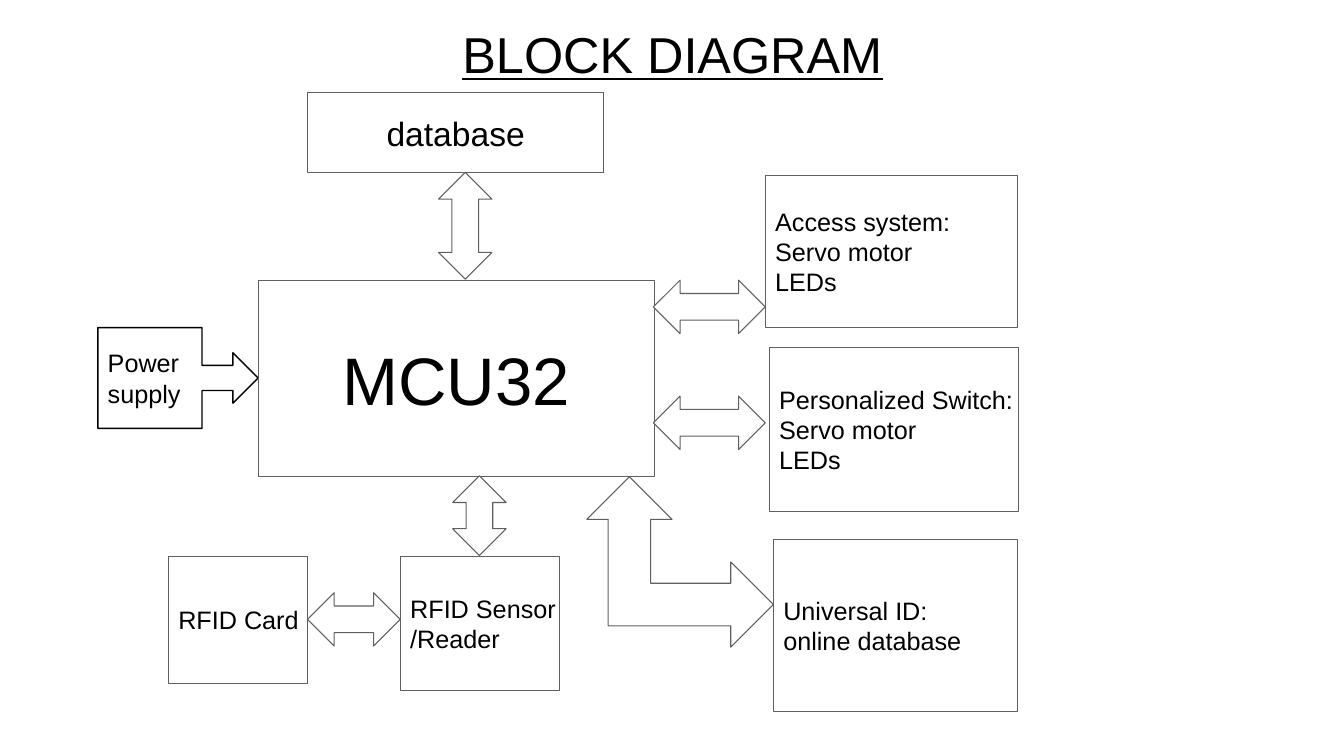
from dataclasses import dataclass

from pptx import Presentation
from pptx.dml.color import RGBColor
from pptx.enum.shapes import MSO_SHAPE
from pptx.enum.text import MSO_ANCHOR, MSO_AUTO_SIZE, PP_ALIGN
from pptx.util import Inches, Pt

RECT = MSO_SHAPE.RECTANGLE
CALLOUT = MSO_SHAPE.RIGHT_ARROW_CALLOUT
UP_DOWN = MSO_SHAPE.UP_DOWN_ARROW
LEFT_RIGHT = MSO_SHAPE.LEFT_RIGHT_ARROW
LEFT_UP = MSO_SHAPE.LEFT_UP_ARROW
LEFT, CENTER = PP_ALIGN.LEFT, PP_ALIGN.CENTER
MIDDLE = MSO_ANCHOR.MIDDLE
NO_FIT = MSO_AUTO_SIZE.NONE

COLORS = {"text": "000000", "fill": "FFFFFF", "outline": "5F5F5F", "supply": "000000"}
FONT = "Arial"
TITLE_ONLY = 5


@dataclass
class Block:
    left: float
    top: float
    width: float
    height: float
    text: str = ""
    size: int = 18
    align: PP_ALIGN = LEFT
    kind: MSO_SHAPE = RECT
    rotation: int = 0
    line: str = "outline"
    line_width: float = 0.75


BLOCKS = [
    Block(0.97, 3.25, 1.59, 1, "Power\nsupply", kind=CALLOUT, line="supply", line_width=1),
    Block(2.56, 2.78, 3.93, 1.95, "MCU32", 48, CENTER),
    Block(3.05, 0.92, 2.94, 0.79, "database", 24, CENTER),
    Block(3.97, 5.52, 1.58, 1.33, "RFID Sensor\n/Reader"),
    Block(1.67, 5.52, 1.38, 1.26, "RFID Card"),
    Block(7.59, 1.74, 2.5, 1.51, "Access system:\nServo motor\nLEDs"),
    Block(7.63, 3.45, 2.47, 1.62, "Personalized Switch:\nServo motor\nLEDs"),
    Block(7.67, 5.35, 2.42, 1.71, "Universal ID:\nonline database"),
]
ARROWS = [
    Block(4.35, 1.71, 0.53, 1.06, kind=UP_DOWN),
    Block(4.49, 4.72, 0.53, 0.79, kind=UP_DOWN),
    Block(3.05, 5.88, 0.92, 0.53, kind=LEFT_RIGHT),
    Block(6.48, 2.78, 1.11, 0.53, kind=LEFT_RIGHT),
    Block(6.48, 3.93, 1.11, 0.53, kind=LEFT_RIGHT),
    Block(5.9, 4.65, 1.69, 1.85, kind=LEFT_UP, rotation=90),
]


def rgb(name: str) -> RGBColor:
    return RGBColor.from_string(COLORS[name])


def write_text(tf, text: str, *, size: int, align: PP_ALIGN = LEFT,
               underline: bool = False, wrap: bool = False) -> None:
    tf.auto_size = NO_FIT
    tf.word_wrap = wrap
    tf.vertical_anchor = MIDDLE
    for i, line in enumerate(text.split("\n")):
        p = tf.add_paragraph() if i else tf.paragraphs[0]
        p.alignment = align
        r = p.add_run()
        r.text = line
        r.font.name = FONT
        r.font.size = Pt(size)
        r.font.color.rgb = rgb("text")
        if underline:
            r.font.underline = True


def draw_block(s, block: Block) -> None:
    sp = s.shapes.add_shape(block.kind, Inches(block.left), Inches(block.top),
                            Inches(block.width), Inches(block.height))
    sp.shadow.inherit = False
    sp.rotation = block.rotation
    sp.fill.solid()
    sp.fill.fore_color.rgb = rgb("fill")
    sp.line.color.rgb = rgb(block.line)
    sp.line.width = Pt(block.line_width)
    if block.text:
        write_text(sp.text_frame, block.text, size=block.size, align=block.align)


def main() -> None:
    prs = Presentation()
    prs.slide_width, prs.slide_height = Inches(13.33), Inches(7.5)
    s = prs.slides.add_slide(prs.slide_layouts[TITLE_ONLY])

    title = s.shapes.title
    title.left, title.top = Inches(0.67), Inches(0.21)
    title.width, title.height = Inches(12), Inches(0.64)
    write_text(title.text_frame, "BLOCK DIAGRAM", size=36, align=CENTER,
               underline=True, wrap=True)

    for block in BLOCKS + ARROWS:
        draw_block(s, block)
    prs.save("out.pptx")


if __name__ == "__main__":
    main()
